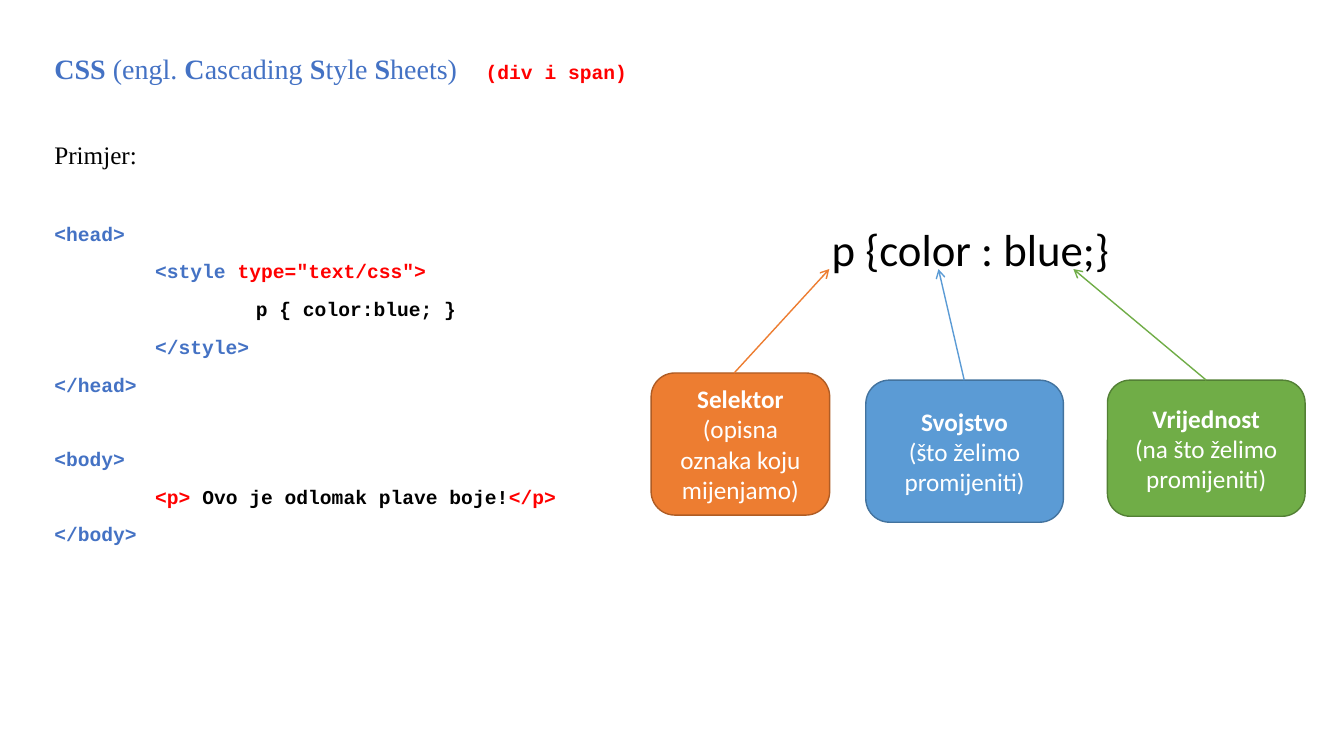
from dataclasses import dataclass

from pptx import Presentation
from pptx.dml.color import RGBColor
from pptx.enum.shapes import MSO_CONNECTOR as CONN, MSO_SHAPE as SHAPE
from pptx.enum.text import MSO_ANCHOR as ANCHOR, PP_ALIGN as ALIGN
from pptx.oxml.ns import qn
from pptx.util import Cm, Pt
from lxml.etree import SubElement


@dataclass(frozen=True)
class Theme:
    blue: str = "4472C4"
    red: str = "FF0000"
    black: str = "000000"
    white: str = "FFFFFF"
    serif: str = "Times New Roman"
    mono: str = "Courier New"
    sans: str = "Calibri"
    title: int = 20
    lead: int = 18
    code: int = 14
    label: int = 18
    formula: int = 32


T = Theme()

TITLE = [("CSS ", True), ("(engl. ", False), ("C", True), ("ascading ", False),
         ("S", True), ("tyle ", False), ("S", True), ("heets)", False)]

# Code lines: indent level, space before, coloured parts
CODE = [
    (0, 28, [("<head>", T.blue)]),
    (1, 0, [("<style ", T.blue), ('type="text/css">', T.red)]),
    (2, 0, [("p { color:blue; }", T.black)]),
    (1, 0, [("</style>", T.blue)]),
    (0, 0, [("</head>", T.blue)]),
    (0, 26, [("<body>", T.blue)]),
    (1, 0, [("<p> ", T.red), ("Ovo je odlomak plave boje!", T.black), ("</p>", T.red)]),
    (0, 0, [("</body>", T.blue)]),
]

# Rule parts: name, explanation, fill, outline, box in cm, arrow start x, arrow tip x
PARTS = [
    ("Selektor", "(opisna oznaka koju mijenjamo)", "ED7D31", "AF5C24",
     (16.41, 9.4, 4.5, 3.58), 18.5, 20.9),
    ("Svojstvo", "(što želimo promijeniti)", "5B9BD5", "43739E",
     (21.82, 9.58, 4.98, 3.58), 24.3, 23.65),
    ("Vrijednost", "(na što želimo promijeniti)", "70AD47", "538035",
     (27.91, 9.58, 4.98, 3.43), 30.4, 27.05),
]
TIP_Y = 6.78


def set_all(obj, values):
    for name, value in values.items():
        setattr(obj, name, value)


def add_run(p, text, font, size, color, bold=False):
    r = p.add_run()
    r.text = text
    set_all(r.font, {"name": font, "size": Pt(size), "bold": bold})
    r.font.color.rgb = RGBColor.from_string(color)


def add_textbox(s, box, **frame):
    tf = s.shapes.add_textbox(*map(Cm, box)).text_frame
    set_all(tf, {"word_wrap": True, **frame})
    return tf


def space(p, before, after):
    set_all(p, {"line_spacing": 1.07, "space_before": Pt(before), "space_after": Pt(after)})


def add_tab_stop(p, pos):
    tabs = SubElement(p._p.get_or_add_pPr(), qn("a:tabLst"))
    SubElement(tabs, qn("a:tab"), pos=str(Cm(pos)), algn="l")


def add_example(s):
    tf = add_textbox(s, (1.12, 1.12, 32.03, 17))

    # Heading
    p = tf.paragraphs[0]
    space(p, 0, 8)
    add_tab_stop(p, 10.87)
    for text, bold in TITLE:
        add_run(p, text, T.serif, T.title, T.blue, bold)
    add_run(p, "\t(div i span)", T.mono, T.code, T.red, True)

    # Lead-in
    p = tf.add_paragraph()
    space(p, 29, 8)
    add_run(p, "Primjer:", T.serif, T.lead, T.black)

    # Code
    for level, before, parts in CODE:
        p = tf.add_paragraph()
        space(p, before, 9)
        p._p.get_or_add_pPr().set("marL", str(Cm(2.54 * level)))
        for text, color in parts:
            add_run(p, text, T.mono, T.code, color, True)


def add_formula(s):
    tf = add_textbox(s, (20.46, 5.59, 8, 1.38), margin_top=0, margin_bottom=0)
    p = tf.paragraphs[0]
    p.alignment = ALIGN.CENTER
    add_run(p, "p {color : blue;}", T.sans, T.formula, T.black)


def add_label(s, name, text, fill, outline, box):
    sp = s.shapes.add_shape(SHAPE.ROUNDED_RECTANGLE, *map(Cm, box))
    sp.shadow.inherit = False
    sp.fill.solid()
    sp.fill.fore_color.rgb = RGBColor.from_string(fill)
    sp.line.color.rgb = RGBColor.from_string(outline)
    sp.line.width = Pt(1)
    tf = sp.text_frame
    set_all(tf, {"word_wrap": True, "vertical_anchor": ANCHOR.MIDDLE})
    p = tf.paragraphs[0]
    p.alignment = ALIGN.CENTER
    add_run(p, name, T.sans, T.label, T.white, True)
    p.add_line_break()
    add_run(p, text, T.sans, T.label, T.white)


def add_arrow(s, start, tip, color):
    line = s.shapes.add_connector(CONN.STRAIGHT, *map(Cm, start + tip))
    line.line.color.rgb = RGBColor.from_string(color)
    line.line.width = Pt(1)
    SubElement(line.line._get_or_add_ln(), qn("a:tailEnd"), type="arrow")
    SubElement(line._element.spPr, qn("a:effectLst"))


def main():
    prs = Presentation()
    set_all(prs, {"slide_width": Cm(33.87), "slide_height": Cm(19.05)})
    s = prs.slides.add_slide(prs.slide_layouts[6])

    add_example(s)
    add_formula(s)
    for name, text, fill, outline, box, start_x, tip_x in PARTS:
        add_label(s, name, text, fill, outline, box)
        add_arrow(s, (start_x, box[1]), (tip_x, TIP_Y), fill)

    prs.save("out.pptx")


if __name__ == "__main__":
    main()
